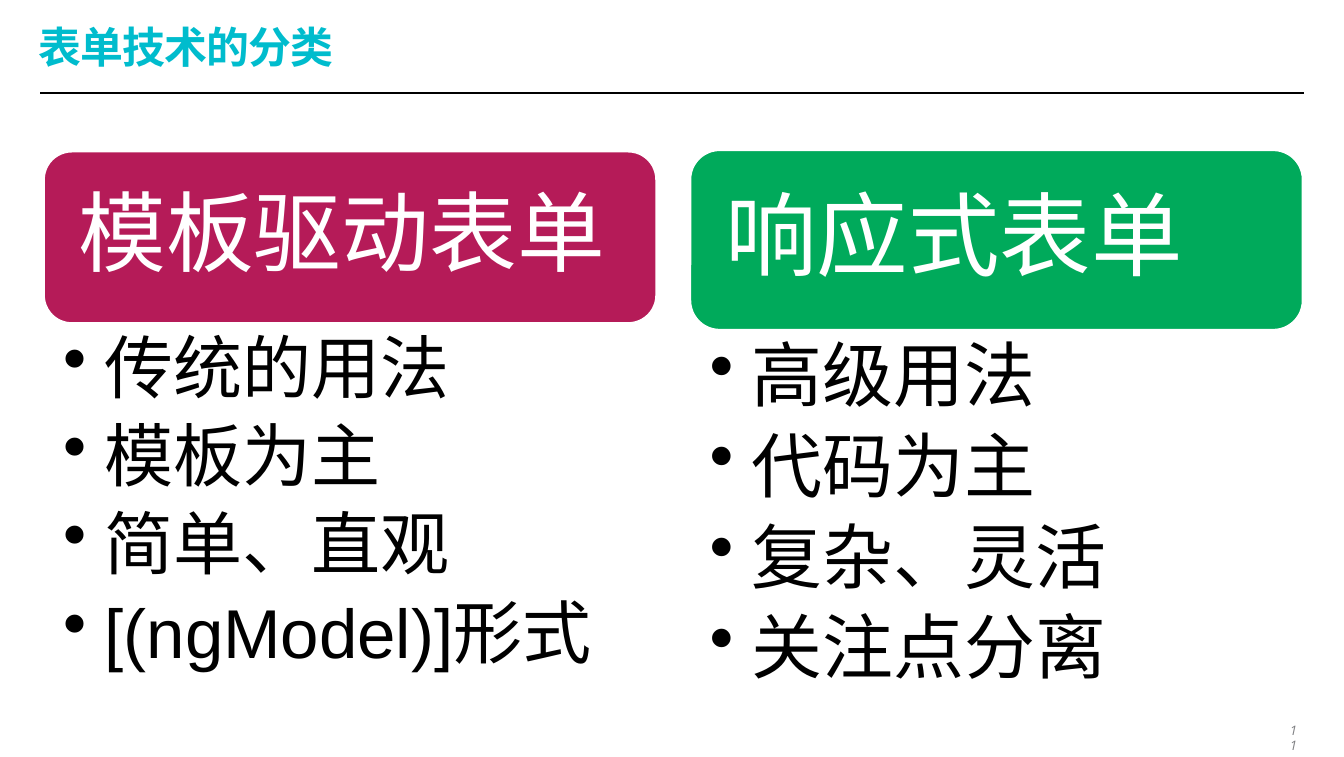
from dataclasses import dataclass

from lxml import etree
from pptx import Presentation
from pptx.dml.color import RGBColor
from pptx.enum.shapes import MSO_CONNECTOR, MSO_SHAPE
from pptx.enum.text import MSO_ANCHOR, PP_ALIGN
from pptx.oxml.ns import qn
from pptx.util import Inches, Pt

LINE = MSO_CONNECTOR.STRAIGHT
ROUNDED = MSO_SHAPE.ROUNDED_RECTANGLE
TOP, MIDDLE = MSO_ANCHOR.TOP, MSO_ANCHOR.MIDDLE
RIGHT = PP_ALIGN.RIGHT
COLS, ROWS = 100, 56.3


@dataclass(frozen=True)
class Theme:
    """Colours, fonts and type sizes of the slide."""
    title: str = "00BCCD"
    text: str = "000000"
    light: str = "FFFFFF"
    muted: str = "808184"
    template: str = "B51B58"
    reactive: str = "00AA5B"
    title_font: str = "Noto Sans CJK JP"
    body_font: str = "Arial"
    number_font: str = "Open Sans"
    title_size: float = 23
    number_size: float = 7


THEME = Theme()


def grid(n):
    """Return the length of n grid units, a hundred to the slide's width."""
    return Inches(n * 10 / COLS)


def add_text_frame(s, box, insets, anchor=TOP, wrap=True):
    """Add a text box and return its frame."""
    tf = s.shapes.add_textbox(*map(grid, box)).text_frame
    tf.word_wrap = wrap
    tf.vertical_anchor = anchor
    tf.margin_left, tf.margin_top, tf.margin_right, tf.margin_bottom = map(grid, insets)
    return tf


def add_run(p, text, font, size, color):
    """Add a run whose Latin and East Asian typefaces agree."""
    r = p.add_run()
    r.text = text
    r.font.size = Pt(size)
    r.font.color.rgb = RGBColor.from_string(color)
    r.font.name = font
    etree.SubElement(r.font._element, qn("a:ea"), typeface=font)
    return r


def set_spacing(p, after):
    """Set tight lines and a space after given in percent."""
    p.line_spacing = 0.9
    spacing = etree.SubElement(p._p.get_or_add_pPr(), qn("a:spcAft"))
    etree.SubElement(spacing, qn("a:spcPct"), val=str(after * 1000))


def set_bullet(p):
    """Give a paragraph a hanging round bullet."""
    pPr = p._p.get_or_add_pPr()
    pPr.set("marL", str(grid(3.1)))
    pPr.set("indent", str(-grid(3.1)))
    etree.SubElement(pPr, qn("a:buChar"), char="•")


def add_header(s, box, text):
    """Add the slide title and the rule below it."""
    x, y, w, h = box
    rule = s.shapes.add_connector(LINE, *map(grid, (x + 0.1, y + 5.1, x + w, y + 5.1)))
    rule.line.color.rgb = RGBColor.from_string(THEME.text)
    rule.line.width = Pt(1)
    etree.SubElement(rule._element.spPr, qn("a:effectLst"))
    tf = add_text_frame(s, (x, y, w, h), (0, 0, 0, 0), MIDDLE)
    p = tf.paragraphs[0]
    p.line_spacing = 0.7
    r = add_run(p, text, THEME.title_font, THEME.title_size, THEME.title)
    r.font.bold = True
    r.font._element.set("spc", "-60")


def add_card(s, box, head, color, title, title_size, items, item_size):
    """Add a coloured heading of the given height with a bulleted list below."""
    x, y, w, h = box
    sp = s.shapes.add_shape(ROUNDED, *map(grid, (x, y, w, head)))
    sp.shadow.inherit = False
    sp.fill.solid()
    sp.fill.fore_color.rgb = RGBColor.from_string(color)
    sp.line.color.rgb = RGBColor.from_string(THEME.light)
    sp.line.width = Pt(2)
    inset = head * 0.05
    inner = (x + inset, y + inset, w - 2 * inset, head - 2 * inset)
    p = add_text_frame(s, inner, (2, 2, 2, 2), MIDDLE).paragraphs[0]
    set_spacing(p, 35)
    add_run(p, title, THEME.body_font, title_size, THEME.light)

    tf = add_text_frame(s, (x, y + head, w, h - head), (1.5, 0.7, 3.7, 0.7))
    for i, item in enumerate(items):
        p = tf.add_paragraph() if i else tf.paragraphs[0]
        p.level = 1
        set_spacing(p, 20)
        set_bullet(p)
        add_run(p, item, THEME.body_font, item_size, THEME.text)


def add_page_number(s, box, number):
    """Add the page number, aligned right."""
    p = add_text_frame(s, box, (0.6, 0.3, 0.6, 0.3), wrap=False).paragraphs[0]
    p.alignment = RIGHT
    r = add_run(p, number, THEME.number_font, THEME.number_size, THEME.muted)
    r.font.italic = True


def main():
    """Build the slide and save it."""
    prs = Presentation()
    prs.slide_width, prs.slide_height = grid(COLS), grid(ROWS)
    s = prs.slides.add_slide(prs.slide_layouts[6])
    add_header(s, (2.9, 1.8, 94.1, 4.2), "表单技术的分类")
    add_card(s, (3.2, 11.2, 45.7, 42.7), 12.9, THEME.template, "模板驱动表单", 47,
             ("传统的用法", "模板为主", "简单、直观", "[(ngModel)]形式"), 37)
    add_card(s, (51.3, 11.1, 45.7, 44), 13.5, THEME.reactive, "响应式表单", 49,
             ("高级用法", "代码为主", "复杂、灵活", "关注点分离"), 38)
    add_page_number(s, (95, 53.4, 2.1, 1.7), "11")
    prs.save("out.pptx")


if __name__ == "__main__":
    main()
